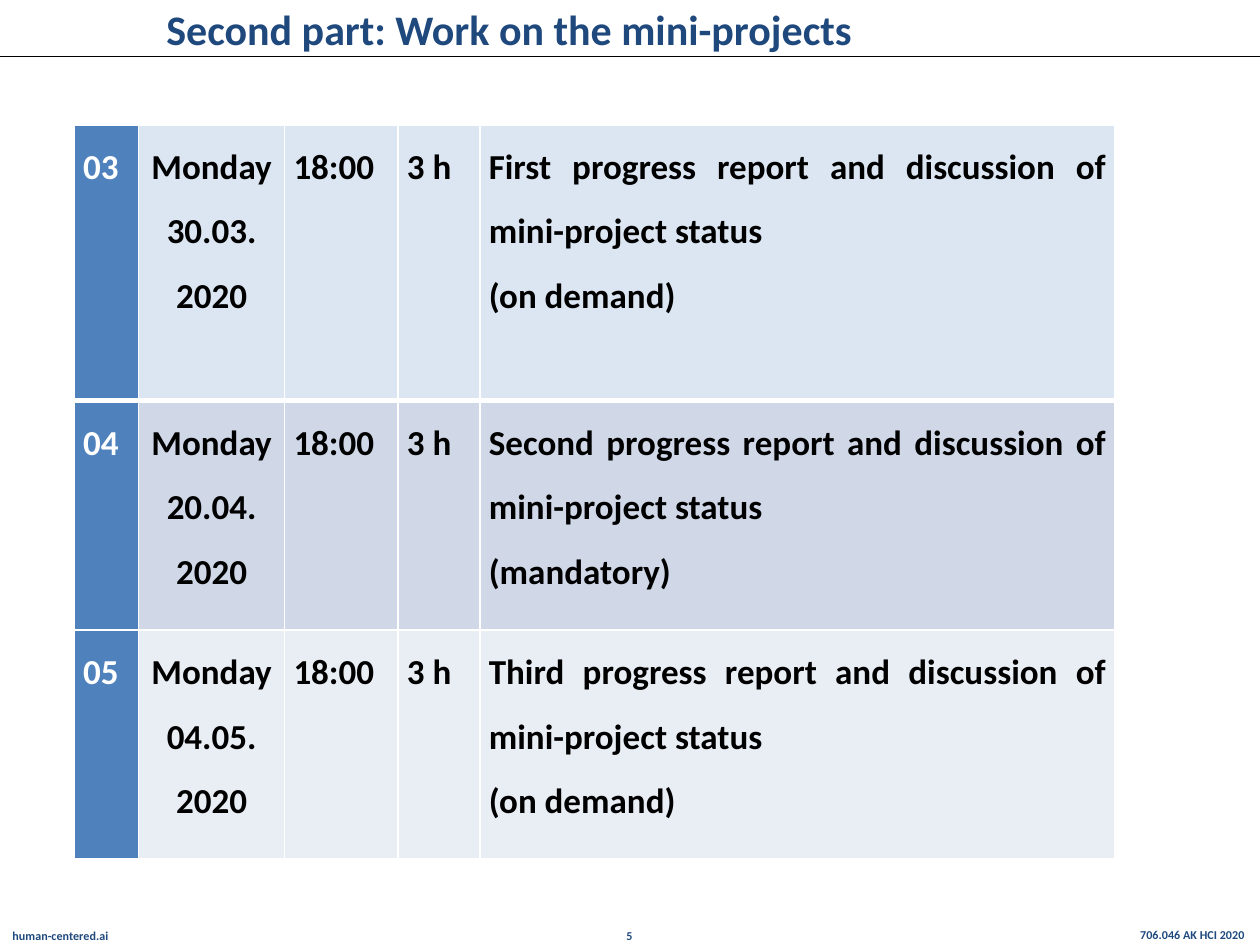
from lxml import etree
from pptx import Presentation
from pptx.dml.color import RGBColor
from pptx.enum.text import MSO_ANCHOR, MSO_AUTO_SIZE, PP_ALIGN
from pptx.oxml.ns import qn
from pptx.util import Inches, Pt

LEFT, CENTER, RIGHT = PP_ALIGN.LEFT, PP_ALIGN.CENTER, PP_ALIGN.RIGHT
JUSTIFY = PP_ALIGN.JUSTIFY
COLORS = {"navy": "1F497D", "blue": "4F81BD", "white": "FFFFFF", "black": "000000"}
ROW_FILLS = ["DCE6F2", "D0D8E8", "E9EDF4"]
COLUMN_WIDTHS = [0.51, 1.16, 0.9, 0.65, 5.04]
ROW_HEIGHTS = [2.19, 1.82, 1.82]


def write_text(frame, text, size, color, align, spacing=None, baseline=None):
    """Fill a text frame with bold Calibri text, one paragraph per line."""
    frame.text = text
    for para in frame.paragraphs:
        para.alignment = align
        para.line_spacing = spacing
        for span in para.runs:
            span.font.name = "Calibri"
            span.font.size = Pt(size)
            span.font.bold = True
            span.font.color.rgb = RGBColor.from_string(COLORS[color])
            if baseline:
                span._r.get_or_add_rPr().set("baseline", str(baseline))


def add_borders(cell, widths):
    """Give a cell white borders; widths in points, in the order L, R, T, B."""
    properties = cell._tc.get_or_add_tcPr()
    for index, (side, width) in enumerate(zip("LRTB", widths)):
        border = etree.Element(qn(f"a:ln{side}"), w=str(Pt(width)))
        fill = etree.SubElement(border, qn("a:solidFill"))
        etree.SubElement(fill, qn("a:srgbClr"), val=COLORS["white"])
        properties.insert(index, border)


deck = Presentation()
deck.slide_width, deck.slide_height = Inches(10), Inches(7.5)
page = deck.slides.add_slide(deck.slide_layouts[5])

# Header
rule = page.shapes.add_connector(1, 0, Inches(0.45), Inches(10), Inches(0.45))
rule.line.color.rgb = RGBColor.from_string(COLORS["black"])
rule.line.width = Pt(0.75)
etree.SubElement(rule._element.spPr, qn("a:effectLst"))

title = page.shapes.title
title.left, title.top = Inches(1.22), Inches(-0.01)
title.width, title.height = Inches(7.48), Inches(0.47)
title.text_frame.vertical_anchor = MSO_ANCHOR.MIDDLE
title.text_frame.auto_size = MSO_AUTO_SIZE.NONE
write_text(title.text_frame, "Second part: Work on the mini-projects", 24, "navy", LEFT)

# Footer, set as subscript
footers = [
    ("706.046 AK HCI 2020 ", 6.57, 7.2, 3.43, RIGHT),
    ("human-centered.ai", 0, 7.21, 3.11, LEFT),
    ("5", 4.07, 7.21, 1.85, CENTER),
]
for text, left, top, width, align in footers:
    box = page.shapes.add_textbox(Inches(left), Inches(top), Inches(width), Inches(0.3))
    box.text_frame.word_wrap = True
    write_text(box.text_frame, text, 12, "navy", align, baseline=-25000)

# Schedule
sessions = [
    ("03", "30.03.", "First", "on demand"),
    ("04", "20.04.", "Second", "mandatory"),
    ("05", "04.05.", "Third", "on demand"),
]
schedule = page.shapes.add_table(
    len(sessions), len(COLUMN_WIDTHS), Inches(0.59), Inches(0.99),
    Inches(sum(COLUMN_WIDTHS)), Inches(sum(ROW_HEIGHTS))).table
for column, width in zip(schedule.columns, COLUMN_WIDTHS):
    column.width = Inches(width)
for row, height in zip(schedule.rows, ROW_HEIGHTS):
    row.height = Inches(height)

for row_index, (number, date, ordinal, attendance) in enumerate(sessions):
    texts = [
        number,
        f"Monday\n{date}\v2020",
        "18:00",
        "3 h",
        f"{ordinal} progress report and discussion of mini-project status\n({attendance})",
    ]
    top_width = 3 if row_index == 1 else 1
    bottom_width = 3 if row_index == 0 else 1
    for column_index, text in enumerate(texts):
        cell = schedule.cell(row_index, column_index)
        cell.margin_left = cell.margin_right = Inches(0.07)
        cell.margin_top = cell.margin_bottom = 0
        is_number = column_index == 0
        cell.fill.solid()
        cell.fill.fore_color.rgb = RGBColor.from_string(
            COLORS["blue"] if is_number else ROW_FILLS[row_index])
        write_text(cell.text_frame, text, 20, "white" if is_number else "black",
                   CENTER if column_index == 1 else JUSTIFY, spacing=1.5)
        add_borders(cell, (1, 1, top_width, bottom_width))

deck.save("out.pptx")
